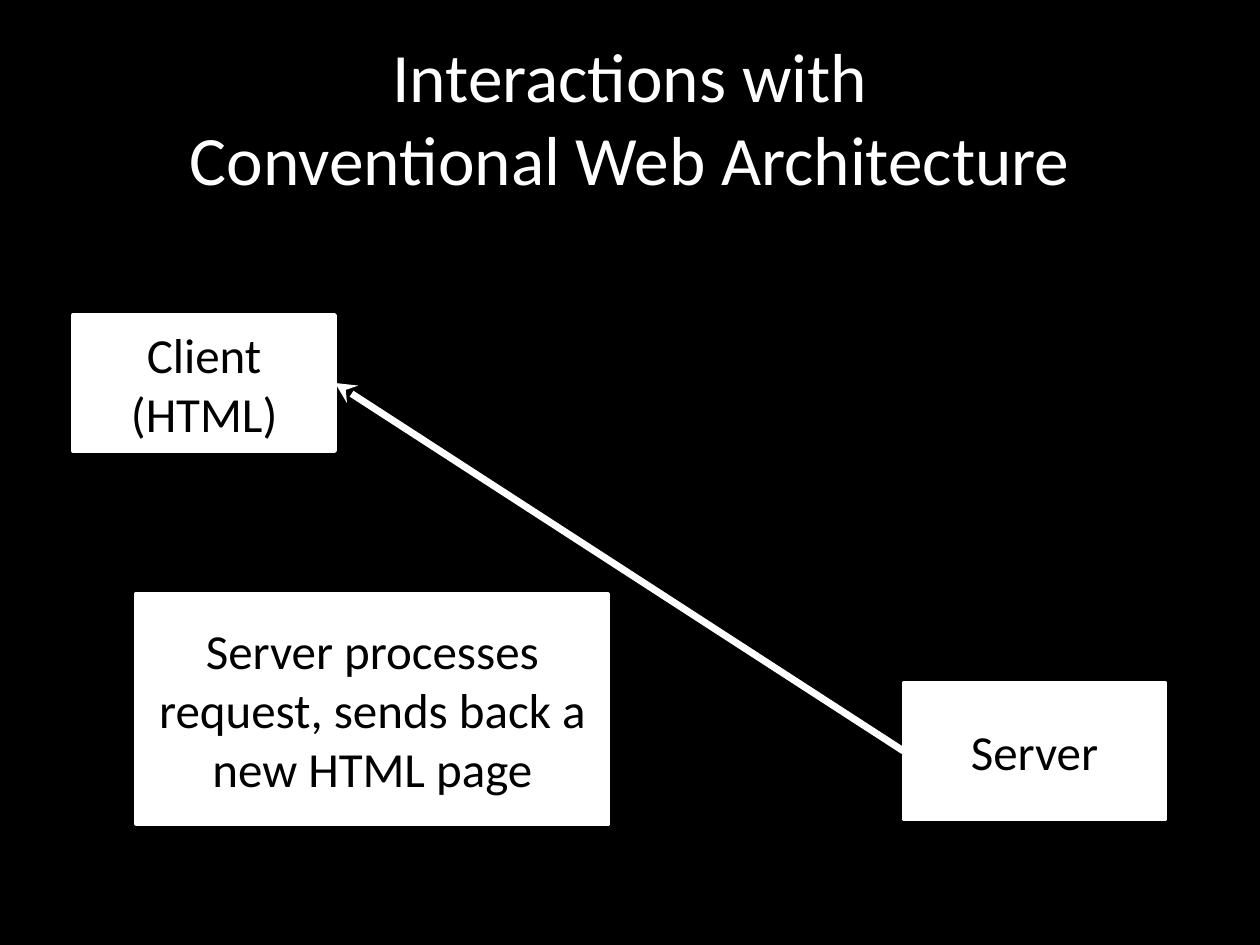
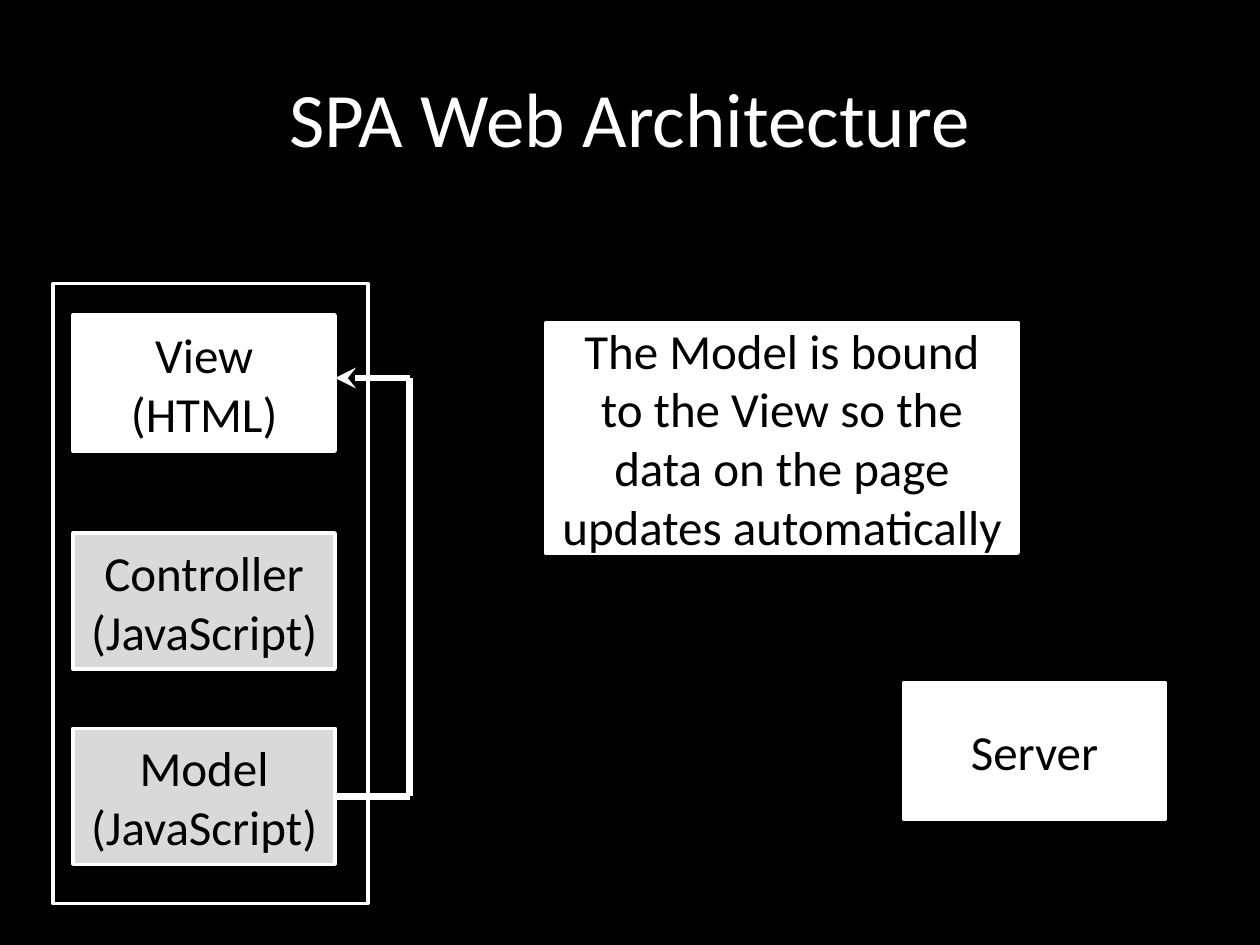
"""Builds two slides comparing conventional and single-page web architectures."""
from lxml.etree import SubElement
from pptx import Presentation
from pptx.dml.color import RGBColor
from pptx.enum.shapes import MSO_CONNECTOR as Connector, MSO_SHAPE as Shape
from pptx.enum.text import MSO_ANCHOR as Anchor, MSO_AUTO_SIZE as AutoSize, PP_ALIGN as Align
from pptx.oxml.ns import qn
from pptx.util import Inches, Pt

BLACK, WHITE, GREY = "000000", "FFFFFF", "D9D9D9"
FONT = "Calibri"
WIDTH, HEIGHT = 10, 7.5
TITLE_AREA = (0.5, 0.3, 9, 1.25)
NODE_SIZE = (2.08, 1.08)
NOTE_SIZE = (3.75, 1.83)
FRAME_AREA = (0.42, 2.25, 2.5, 4.92)
CLIENT_LEFT, CLIENT_TOP = 0.58, 2.5
LOOP_X, VIEW_ENTRY_Y = 3.25, 3
LEFT_SIDE, RIGHT_SIDE = 1, 3

SERVER = (["Server"], (7.17, 5.42), NODE_SIZE, WHITE)
CONVENTIONAL = {
    "title": ["Interactions with", "Conventional Web Architecture"],
    "title_size": 39.6,
    "boxes": {
        "client": (["Client", "(HTML)"], (CLIENT_LEFT, CLIENT_TOP), NODE_SIZE, WHITE),
        "server": SERVER,
    },
    "note": (["Server processes request, sends back a new HTML page"],
             (1.08, 4.71), NOTE_SIZE, WHITE),
}
SPA = {
    "title": ["SPA Web Architecture"],
    "title_size": 44,
    "boxes": {
        "view": (["View", "(HTML)"], (CLIENT_LEFT, CLIENT_TOP), NODE_SIZE, WHITE),
        "server": SERVER,
        "controller": (["Controller", "(JavaScript)"], (CLIENT_LEFT, 4.23), NODE_SIZE, GREY),
        "model": (["Model", "(JavaScript)"], (CLIENT_LEFT, 5.78), NODE_SIZE, GREY),
    },
    "note": (["The Model is bound to the View so the data on the page updates automatically"],
             (4.33, 2.56), NOTE_SIZE, WHITE),
}


def color(hex_value):
    return RGBColor.from_string(hex_value)


def add_run(paragraph, text, size, hex_value):
    run = paragraph.add_run()
    run.text = text
    run.font.name = FONT
    run.font.size = Pt(size)
    run.font.color.rgb = color(hex_value)


def add_title(slide, lines, size):
    title = slide.shapes.title
    title.left, title.top, title.width, title.height = map(Inches, TITLE_AREA)
    frame = title.text_frame
    frame.auto_size = AutoSize.NONE
    frame.vertical_anchor = Anchor.MIDDLE
    paragraph = frame.paragraphs[0]
    paragraph.alignment = Align.CENTER
    for index, line in enumerate(lines):
        if index:
            paragraph.add_line_break()
        add_run(paragraph, line, size, WHITE)


def add_rectangle(slide, area, fill=None):
    shape = slide.shapes.add_shape(Shape.RECTANGLE, *map(Inches, area))
    shape.shadow.inherit = False
    if fill:
        shape.fill.solid()
        shape.fill.fore_color.rgb = color(fill)
    else:
        shape.fill.background()
    shape.line.color.rgb = color(WHITE)
    shape.line.width = Pt(2)
    return shape


def add_box(slide, lines, position, size, fill):
    shape = add_rectangle(slide, position + size, fill)
    frame = shape.text_frame
    frame.word_wrap = True
    frame.vertical_anchor = Anchor.MIDDLE
    for index, line in enumerate(lines):
        paragraph = frame.add_paragraph() if index else frame.paragraphs[0]
        paragraph.alignment = Align.CENTER
        add_run(paragraph, line, 28, BLACK)
    return shape


def add_line(slide, start, end, arrow=False):
    line = slide.shapes.add_connector(Connector.STRAIGHT, *start, *end)
    line.line.color.rgb = color(WHITE)
    line.line.width = Pt(4)
    if arrow:
        SubElement(line.line._get_or_add_ln(), qn("a:tailEnd"), type="stealth")
    SubElement(line._element.spPr, qn("a:effectLst"))
    return line


def side_middle(shape, side):
    x = shape.left + (shape.width if side == RIGHT_SIDE else 0)
    return x, shape.top + shape.height // 2


def add_diagram(presentation, content):
    slide = presentation.slides.add_slide(presentation.slide_layouts[5])
    add_title(slide, content["title"], content["title_size"])
    boxes = {name: add_box(slide, *box) for name, box in content["boxes"].items()}
    return slide, boxes


def build_conventional(presentation):
    slide, boxes = add_diagram(presentation, CONVENTIONAL)
    server, client = boxes["server"], boxes["client"]
    reply = add_line(slide, side_middle(server, LEFT_SIDE),
                     side_middle(client, RIGHT_SIDE), arrow=True)
    reply.begin_connect(server, LEFT_SIDE)
    reply.end_connect(client, RIGHT_SIDE)
    add_box(slide, *CONVENTIONAL["note"])


def build_spa(presentation):
    slide, boxes = add_diagram(presentation, SPA)
    add_box(slide, *SPA["note"])
    add_rectangle(slide, FRAME_AREA)
    model_exit = side_middle(boxes["model"], RIGHT_SIDE)
    lower_corner = (Inches(LOOP_X), model_exit[1])
    upper_corner = (Inches(LOOP_X), Inches(VIEW_ENTRY_Y))
    view_entry = (model_exit[0], upper_corner[1])
    add_line(slide, model_exit, lower_corner).begin_connect(boxes["model"], RIGHT_SIDE)
    add_line(slide, lower_corner, upper_corner)
    add_line(slide, upper_corner, view_entry, arrow=True)


def main():
    presentation = Presentation()
    presentation.slide_width, presentation.slide_height = Inches(WIDTH), Inches(HEIGHT)
    background = presentation.slide_master.background.fill
    background.solid()
    background.fore_color.rgb = color(BLACK)
    build_conventional(presentation)
    build_spa(presentation)
    presentation.save("out.pptx")


if __name__ == "__main__":
    main()
